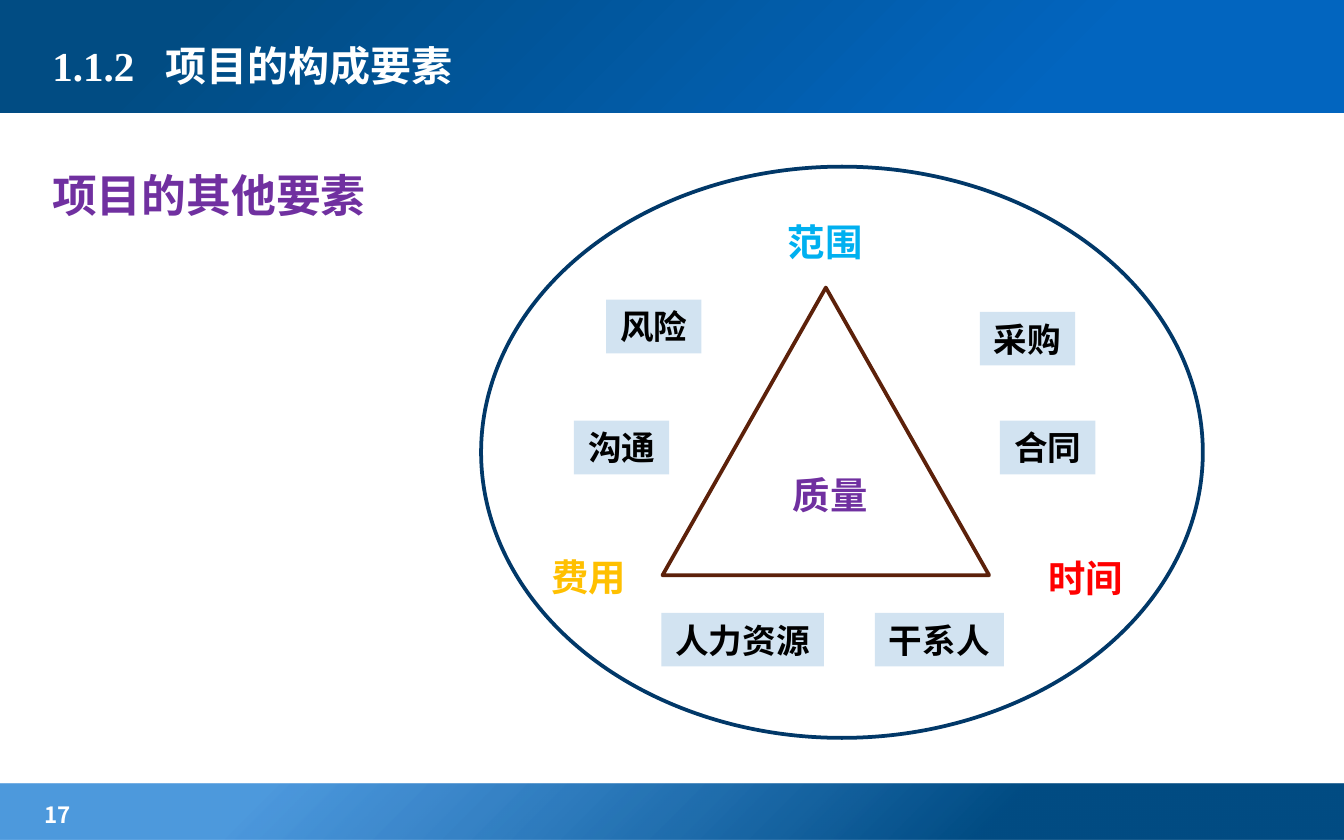
from lxml import etree
from pptx import Presentation
from pptx.dml.color import RGBColor
from pptx.enum.shapes import MSO_SHAPE
from pptx.enum.text import MSO_ANCHOR, MSO_AUTO_SIZE, PP_ALIGN
from pptx.oxml import parse_xml
from pptx.oxml.ns import nsdecls, qn
from pptx.util import Inches, Pt

RECT, OVAL, TRIANGLE = MSO_SHAPE.RECTANGLE, MSO_SHAPE.OVAL, MSO_SHAPE.ISOSCELES_TRIANGLE
LEFT, CENTER = PP_ALIGN.LEFT, PP_ALIGN.CENTER
TOP, MIDDLE = MSO_ANCHOR.TOP, MSO_ANCHOR.MIDDLE
NO_AUTOFIT = MSO_AUTO_SIZE.NONE

THEME = {
    "white": "FFFFFF", "black": "000000", "purple": "7030A0", "tag": "D2E3F1",
    "ellipse": "013868", "triangle": "5C210A",
    "scope": "00B0F0", "time": "FF0000", "cost": "FFC000",
    "cjk": "Noto Sans CJK SC", "serif": "Times New Roman", "sans": "Karla",
    "title_size": 22, "heading_size": 24, "label_size": 20, "tag_size": 18, "page_size": 12,
    "outline": 2,
}

# Content
TITLE = "1.1.2\t项目的构成要素"
TITLE_TAB = 0.84
HEADING = "项目的其他要素"
PAGE = "17"

# Bars: top, height, gradient stops as (position %, colour, opacity %)
BARS = [
    (5.83, 0.42, [(26, "014C83", 100), (80, "026DCE", 70)]),
    (-0.03, 0.87, [(21, "0265BF", 100), (86, "014C83", 100)]),
]
# Corner labels: text, left, top, colour
LABELS = [("范围", 5.39, 1.6, "scope"), ("时间", 7.33, 4.1, "time"), ("费用", 3.63, 4.09, "cost")]
LABEL_SIZE = (1.5, 0.4)
# Tags: text, left, top, font
TAGS = [
    ("风险", 4.51, 2.23, "sans"),
    ("干系人", 6.51, 4.56, "sans"),
    ("人力资源", 4.92, 4.56, "sans"),
    ("沟通", 4.27, 3.13, "serif"),
    ("采购", 7.29, 2.32, "sans"),
    ("合同", 7.44, 3.13, "serif"),
]
TAG_HEIGHT, TAG_PADDING = 0.4, 0.21


def color(key):
    return RGBColor.from_string(THEME[key])


def add_figure(kind, box, fill=None, line=None):
    figure = slide.shapes.add_shape(kind, *map(Inches, box))
    figure.shadow.inherit = False
    if fill:
        figure.fill.solid()
        figure.fill.fore_color.rgb = color(fill)
    else:
        figure.fill.background()
    if line:
        figure.line.color.rgb = color(line)
        figure.line.width = Pt(THEME["outline"])
    else:
        figure.line.fill.background()
    return figure


def add_bar(top, height, stops):
    bar = add_figure(RECT, (0, top, 10, height))
    stop_xml = "".join(
        f'<a:gs pos="{pos * 1000}"><a:srgbClr val="{rgb}">'
        f'<a:alpha val="{alpha * 1000}"/></a:srgbClr></a:gs>'
        for pos, rgb, alpha in stops)
    gradient = parse_xml(
        f'<a:gradFill {nsdecls("a")} rotWithShape="1"><a:gsLst>{stop_xml}</a:gsLst>'
        '<a:path path="circle"><a:fillToRect l="100000" t="100000"/></a:path></a:gradFill>')
    properties = bar.element.spPr
    properties.replace(properties.find(qn("a:noFill")), gradient)


def write(holder, text, size, ink, font="cjk", align=LEFT, anchor=MIDDLE, wrap=True, tab=None):
    frame = holder.text_frame
    frame_format = {"word_wrap": wrap, "auto_size": NO_AUTOFIT, "vertical_anchor": anchor}
    for name, value in frame_format.items():
        setattr(frame, name, value)
    paragraph = frame.paragraphs[0]
    paragraph.alignment = align
    if tab:
        tabs = etree.SubElement(paragraph._p.get_or_add_pPr(), qn("a:tabLst"))
        etree.SubElement(tabs, qn("a:tab"), pos=str(Inches(tab)), algn="l")
    run = paragraph.add_run()
    run.text = text
    run_format = {"name": THEME[font], "size": Pt(THEME[size]), "bold": True}
    for name, value in run_format.items():
        setattr(run.font, name, value)
    run.font.color.rgb = color(ink)
    # East Asian face for the Chinese characters
    etree.SubElement(run._r.get_or_add_rPr(), qn("a:ea"), typeface=THEME["cjk"])


def add_text(box, *args, **options):
    write(slide.shapes.add_textbox(*map(Inches, box)), *args, **options)


presentation = Presentation()
presentation.slide_width, presentation.slide_height = Inches(10), Inches(6.25)
slide = presentation.slides.add_slide(presentation.slide_layouts[5])

# Header and footer bars, page number
for bar_content in BARS:
    add_bar(*bar_content)
add_text((0.23, 5.91, 1.57, 0.3), PAGE, "page_size", "white")

# Heading and corner labels
add_text((0.29, 1.2, 8.66, 3.51), HEADING, "heading_size", "purple", anchor=TOP)
for text, left, top, ink in LABELS:
    add_text((left, top, *LABEL_SIZE), text, "label_size", ink, align=CENTER)

# Quality at the centre, with the ellipse and triangle around it
quality = add_figure(RECT, (5.8, 3.46, 0.85, 0.44), fill="white")
write(quality, "质量", "label_size", "purple", "serif")
add_figure(OVAL, (3.58, 1.24, 5.37, 4.25), line="ellipse")
add_figure(TRIANGLE, (4.93, 2.14, 2.43, 2.14), line="triangle")

# Tags are as wide as their characters plus padding
for text, left, top, font in TAGS:
    width = len(text) * THEME["tag_size"] / 72 + TAG_PADDING
    tag = add_figure(RECT, (left, top, width, TAG_HEIGHT), fill="tag")
    write(tag, text, "tag_size", "black", font, align=CENTER, wrap=False)

# Title, brought in front of the header bar
title = slide.shapes.title
title.left, title.top, title.width, title.height = map(Inches, (0.29, 0.13, 6.38, 0.71))
write(title, TITLE, "title_size", "white", "serif", tab=TITLE_TAB)
slide.shapes.element.append(title.element)

presentation.save("out.pptx")
